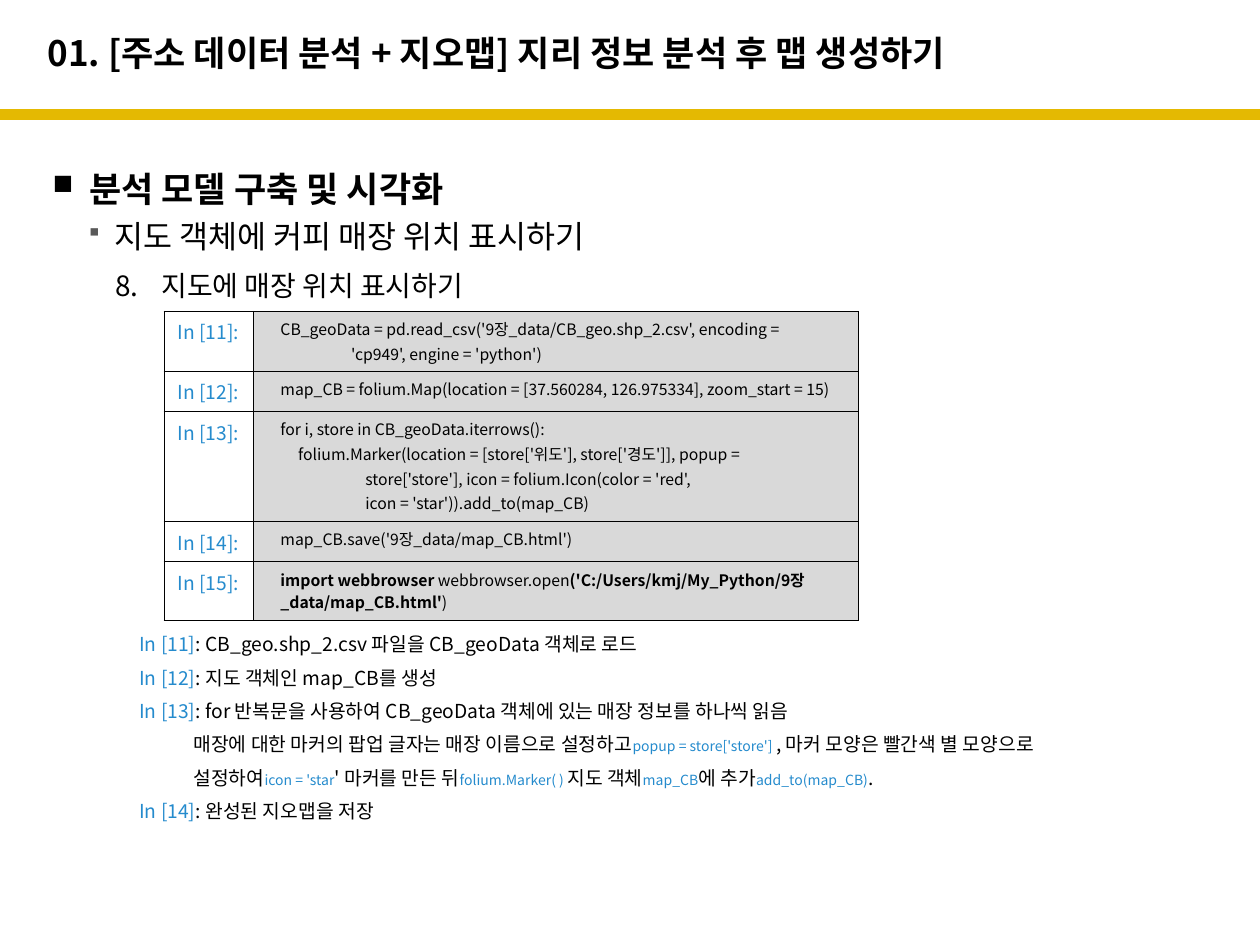
from lxml import etree
from pptx import Presentation
from pptx.dml.color import RGBColor
from pptx.enum.shapes import MSO_CONNECTOR
from pptx.enum.text import MSO_ANCHOR, PP_ALIGN
from pptx.oxml.ns import qn
from pptx.util import Cm, Pt

STRAIGHT = MSO_CONNECTOR.STRAIGHT
MIDDLE = MSO_ANCHOR.MIDDLE
CENTER = PP_ALIGN.CENTER
FONT = "Noto Sans CJK KR"
COLORS = {"text": "000000", "accent": "258BCD", "rule": "E4B902",
          "bullet": "595959", "code": "D9D9D9", "label": "FFFFFF"}

# Text, size, bold, left margin, hanging indent, space before and after, bullet, bullet colour
HEADINGS = [
    ("분석 모델 구축 및 시각화", 20, True, 0.74, 0.74, 0, 0, "n", "text"),
    ("지도 객체에 커피 매장 위치 표시하기", 18, False, 1.24, 0.51, 4.5, 4, "§", "bullet"),
    ("지도에 매장 위치 표시하기", 16, False, 2.2, 0.94, 4, 3, 8, "text"),
]

# Row height, label, code lines; a line is a list of (text, bold)
CODE_ROWS = [
    (1.21, "In [11]:", [
        [("CB_geoData = pd.read_csv('9장_data/CB_geo.shp_2.csv', encoding =", False)],
        [("                    'cp949', engine = 'python')", False)]]),
    (0.81, "In [12]:", [
        [("map_CB = folium.Map(location = [37.560284, 126.975334], zoom_start = 15)", False)]]),
    (2.22, "In [13]:", [
        [("for i, store in CB_geoData.iterrows():", False)],
        [("     folium.Marker(location = [store['위도'], store['경도']], popup =", False)],
        [("                        store['store'], icon = folium.Icon(color = 'red',", False)],
        [("                        icon = 'star')).add_to(map_CB)", False)]]),
    (0.81, "In [14]:", [[("map_CB.save('9장_data/map_CB.html')", False)]]),
    (1.19, "In [15]:", [
        [("import webbrowser ", True), ("webbrowser.open", False),
         ("('C:/Users/kmj/My_Python/9장_data/map_CB.html'", True), (")", False)]]),
]

# Left margin, spans of (text, size, colour)
NOTE_MARGIN, NOTE_INNER = 1.75, 2.84
NOTES = [
    (NOTE_MARGIN, [("In [11]", 11, "accent"),
                   (": CB_geo.shp_2.csv 파일을 CB_geoData 객체로 로드", 11, "text")]),
    (NOTE_MARGIN, [("In [12]", 11, "accent"), (": 지도 객체인 map_CB를 생성", 11, "text")]),
    (NOTE_MARGIN, [("In [13]", 11, "accent"),
                   (": for 반복문을 사용하여 CB_geoData 객체에 있는 매장 정보를 하나씩 읽음",
                    11, "text")]),
    (NOTE_INNER, [("매장에 대한 마커의 팝업 글자는 매장 이름으로 설정하고", 11, "text"),
                  ("popup = store['store'] ", 8, "accent"),
                  (", 마커 모양은 빨간색 별 모양으로", 11, "text")]),
    (NOTE_INNER, [("설정하여", 11, "text"), ("icon = 'star", 8, "accent"),
                  ("' 마커를 만든 뒤", 11, "text"), ("folium.Marker( ) ", 8, "accent"),
                  ("지도 객체", 11, "text"), ("map_CB", 8, "accent"),
                  ("에 추가", 11, "text"), ("add_to(map_CB)", 8, "accent"),
                  (".", 11, "text")]),
    (NOTE_MARGIN, [("In [14]", 11, "accent"), (": 완성된 지오맵을 저장", 11, "text")]),
]


def color(name):
    return RGBColor.from_string(COLORS[name])


def add_child(parent, tag, **attributes):
    return etree.SubElement(parent, qn(tag), attributes)


def set_font(font, size=None, shade=None, bold=None):
    if size:
        font.size = Pt(size)
    if shade:
        font.color.rgb = color(shade)
    font.bold = bold
    font.name = FONT


def set_margin(para, left, hanging=0):
    props = para._p.get_or_add_pPr()
    props.set("marL", str(Cm(left)))
    props.set("indent", str(-Cm(hanging)))
    return props


def set_spacing(para, index, before, after):
    """Space a paragraph; the first one of a box gets nothing before it."""
    if index:
        para.space_before = Pt(before)
    para.space_after = Pt(after)


def add_bullet(props, bullet, shade):
    """Add a Wingdings bullet, or a number when the bullet is an integer."""
    add_child(add_child(props, "a:buClr"), "a:srgbClr", val=COLORS[shade])
    if isinstance(bullet, int):
        add_child(props, "a:buFont", typeface=FONT)
        add_child(props, "a:buAutoNum", type="arabicPeriod", startAt=str(bullet))
    else:
        add_child(props, "a:buSzPct", val="80000")
        add_child(props, "a:buFont", typeface="Wingdings", charset="2")
        add_child(props, "a:buChar", char=bullet)


def add_box(page, left, top, width, height):
    frame = page.shapes.add_textbox(Cm(left), Cm(top), Cm(width), Cm(height)).text_frame
    frame.word_wrap = True
    return frame


def next_para(frame, index):
    return frame.paragraphs[0] if index == 0 else frame.add_paragraph()


def add_title(page, text):
    frame = add_box(page, 0.71, 0.3, 22, 1.52)
    frame.vertical_anchor = MIDDLE
    para = frame.paragraphs[0]
    para.text = text
    set_font(para.font, 20, "text", True)


def add_rule(page, top, width):
    rule = page.shapes.add_connector(STRAIGHT, 0, Cm(top), Cm(25.4), Cm(top))
    rule.line.color.rgb = color("rule")
    rule.line.width = Pt(width)
    add_child(rule._element.spPr, "a:effectLst")


def add_headings(page):
    frame = add_box(page, 0.81, 2.82, 24, 3.3)
    for index, heading in enumerate(HEADINGS):
        text, size, bold, left, hanging, before, after, bullet, shade = heading
        para = next_para(frame, index)
        para.text = text
        add_bullet(set_margin(para, left, hanging), bullet, shade)
        set_spacing(para, index, before, after)
        set_font(para.font, size, "text", bold)
    frame.paragraphs[0].line_spacing = 1.5


def style_cell(cell, fill):
    cell.fill.solid()
    cell.fill.fore_color.rgb = color(fill)
    props = cell._tc.get_or_add_tcPr()
    for index, side in enumerate(("a:lnL", "a:lnR", "a:lnT", "a:lnB")):
        border = etree.Element(qn(side), w=str(Pt(0.11)))
        add_child(add_child(border, "a:solidFill"), "a:srgbClr", val=COLORS["text"])
        props.insert(index, border)


def add_code_table(page):
    heights = [row[0] for row in CODE_ROWS]
    widths = (1.8, 12.2)
    table = page.shapes.add_table(len(CODE_ROWS), 2, Cm(3.3), Cm(6.27),
                                  Cm(sum(widths)), Cm(sum(heights))).table
    table.first_row = table.horz_banding = False
    for column, width in zip(table.columns, widths):
        column.width = Cm(width)
    for row, (height, label, lines) in zip(table.rows, CODE_ROWS):
        row.height = Cm(height)
        label_cell, code_cell = row.cells
        style_cell(label_cell, "label")
        style_cell(code_cell, "code")
        para = label_cell.text_frame.paragraphs[0]
        para.text = label
        para.alignment = CENTER
        set_font(para.font, 11, "accent")
        for index, spans in enumerate(lines):
            para = next_para(code_cell.text_frame, index)
            set_margin(para, 0.3)
            set_spacing(para, index, 0.5, 0.5)
            set_font(para.font, 9, "text")
            for text, bold in spans:
                span = para.add_run()
                span.text = text
                span.font.bold = bold


def add_notes(page):
    frame = add_box(page, 0.81, 12.63, 24, 4.3)
    for index, (left, spans) in enumerate(NOTES):
        para = next_para(frame, index)
        set_margin(para, left)
        set_spacing(para, index, 2.8, 3)
        set_font(para.font)
        for text, size, shade in spans:
            span = para.add_run()
            span.text = text
            span.font.size = Pt(size)
            span.font.color.rgb = color(shade)


def main():
    deck = Presentation()
    deck.slide_width, deck.slide_height = Cm(25.4), Cm(19.05)
    page = deck.slides.add_slide(deck.slide_layouts[6])
    # Title band
    add_rule(page, 2.31, 6)
    add_title(page, "01. [주소 데이터 분석 + 지오맵] 지리 정보 분석 후 맵 생성하기")
    # Body
    add_headings(page)
    add_code_table(page)
    add_notes(page)
    deck.save("out.pptx")


if __name__ == "__main__":
    main()
